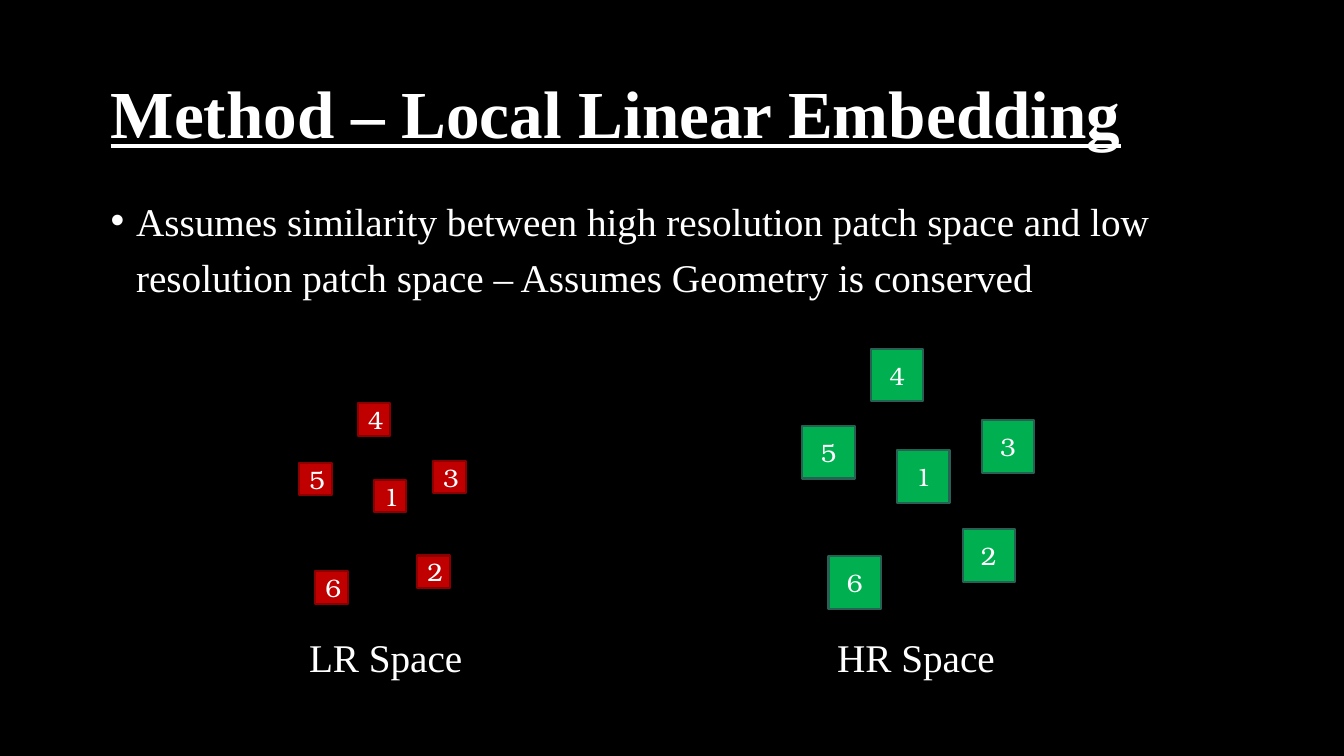
from lxml.etree import SubElement
from pptx import Presentation
from pptx.dml.color import RGBColor
from pptx.enum.shapes import MSO_SHAPE as Preset
from pptx.enum.text import MSO_ANCHOR as Anchor, MSO_AUTO_SIZE as AutoSize, PP_ALIGN as Align
from pptx.oxml.ns import qn
from pptx.util import Cm, Pt

COLOURS = {
    "background": "000000",
    "text": "FFFFFF",
    "lr": "C00000",
    "lr_edge": "8A0000",
    "hr": "00B050",
    "hr_edge": "256253",
}

LR_PATCHES = {
    "1": (9.42, 12.09), "5": (7.54, 11.66), "4": (9.02, 10.16),
    "2": (10.52, 14), "6": (7.95, 14.4), "3": (10.92, 11.61),
}
HR_PATCHES = {
    "1": (22.61, 11.35), "5": (20.22, 10.74), "4": (21.95, 8.79),
    "2": (24.26, 13.34), "6": (20.88, 14.02), "3": (24.74, 10.59),
}


class EmbeddingSlide:
    text_font = "Times New Roman"
    patch_font = "TeX Gyre Bonum"

    def __init__(self, deck):
        self.slide = deck.slides.add_slide(deck.slide_layouts[6])
        backdrop = self.slide.background.fill
        backdrop.solid()
        backdrop.fore_color.rgb = self.colour("background")

    def colour(self, name):
        return RGBColor.from_string(COLOURS[name])

    def styled_run(self, paragraph, words, size, font):
        run = paragraph.add_run()
        run.text = words
        run.font.size = Pt(size)
        run.font.name = font
        run.font.color.rgb = self.colour("text")
        return run

    def text_frame(self, left, top, width, height):
        box = self.slide.shapes.add_textbox(Cm(left), Cm(top), Cm(width), Cm(height))
        box.text_frame.word_wrap = True
        return box.text_frame

    def title(self, words, *place):
        frame = self.text_frame(*place)
        frame.vertical_anchor = Anchor.MIDDLE
        heading = frame.paragraphs[0]
        heading.line_spacing = 0.9
        run = self.styled_run(heading, words, 48, self.text_font)
        run.font.bold = True
        run.font.underline = True

    def body_text(self, words, *place):
        frame = self.text_frame(*place)
        paragraph = frame.paragraphs[0]
        paragraph.line_spacing = 1.2
        paragraph.space_before = Pt(10)
        self.styled_run(paragraph, words, 28, self.text_font)
        return frame

    def bullet(self, words, *place):
        paragraph = self.body_text(words, *place).paragraphs[0]
        properties = paragraph._p.get_or_add_pPr()
        indent = Cm(0.64)
        properties.set("marL", str(indent))
        properties.set("indent", str(-indent))
        SubElement(properties, qn("a:buFont"), typeface="Arial")
        SubElement(properties, qn("a:buChar"), char="•")

    def label(self, words, *place):
        self.body_text(words, *place).auto_size = AutoSize.SHAPE_TO_FIT_TEXT

    def patch(self, number, left, top, side, space):
        square = self.slide.shapes.add_shape(
            Preset.RECTANGLE, Cm(left), Cm(top), Cm(side), Cm(side))
        square.shadow.inherit = False
        square.fill.solid()
        square.fill.fore_color.rgb = self.colour(space)
        square.line.color.rgb = self.colour(f"{space}_edge")
        square.line.width = Pt(1.5)
        square.text_frame.vertical_anchor = Anchor.MIDDLE
        paragraph = square.text_frame.paragraphs[0]
        paragraph.alignment = Align.CENTER
        self.styled_run(paragraph, number, 18, self.patch_font)

    def patch_space(self, patches, side, space):
        for number, (left, top) in patches.items():
            self.patch(number, left, top, side, space)


def main():
    deck = Presentation()
    deck.slide_width, deck.slide_height = Cm(33.87), Cm(19.05)
    method = EmbeddingSlide(deck)
    method.title("Method – Local Linear Embedding", 2.54, 1.7, 28.75, 2.49)
    method.bullet(
        "Assumes similarity between high resolution patch space and low "
        "resolution patch space – Assumes Geometry is conserved",
        2.54, 4.6, 28.75, 10.97)
    method.patch_space(LR_PATCHES, 0.82, "lr")
    method.patch_space(HR_PATCHES, 1.32, "hr")
    for words, left in (("LR Space", 7.54), ("HR Space", 20.85)):
        method.label(words, left, 15.6, 4.75, 1.7)
    deck.save("out.pptx")


if __name__ == "__main__":
    main()
